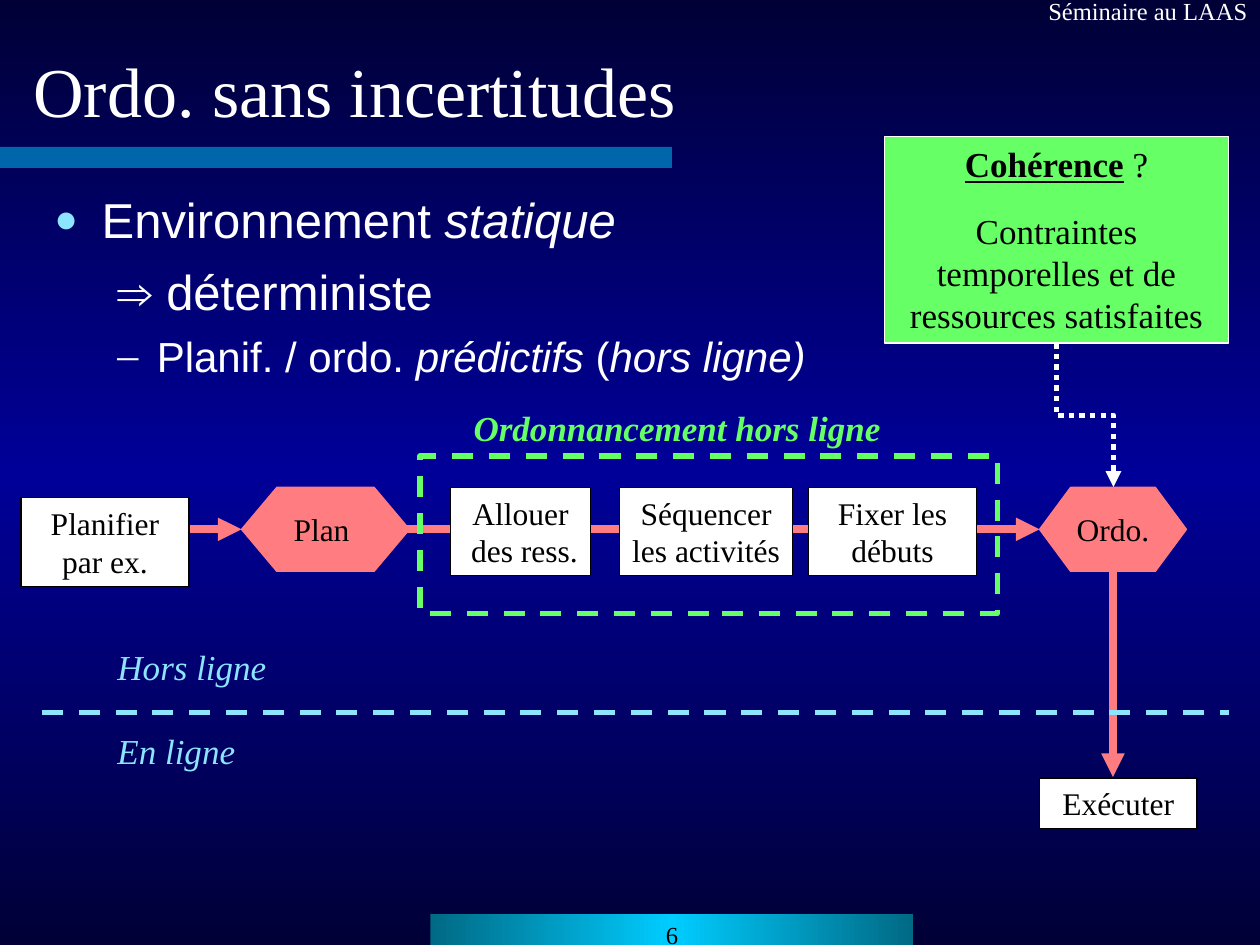
from copy import deepcopy

from lxml.etree import SubElement
from pptx import Presentation
from pptx.dml.color import RGBColor
from pptx.enum.dml import MSO_LINE as Dash
from pptx.enum.shapes import MSO_CONNECTOR as Connector, MSO_SHAPE as Shape
from pptx.enum.text import MSO_ANCHOR as Anchor, PP_ALIGN as Align
from pptx.oxml.ns import qn
from pptx.util import Pt

BLACK = RGBColor(0x00, 0x00, 0x00)
WHITE = RGBColor(0xFF, 0xFF, 0xFF)
NIGHT = RGBColor(0x00, 0x00, 0x37)
BLUE = RGBColor(0x00, 0x00, 0x99)
CYAN = RGBColor(0x00, 0xCC, 0xFF)
TEAL = RGBColor(0x00, 0x69, 0x84)
SKY = RGBColor(0x8D, 0xE4, 0xFF)
GREEN = RGBColor(0x66, 0xFF, 0x66)
CORAL = RGBColor(0xFF, 0x7C, 0x80)

SERIF = "Times New Roman"
BOLD = {"bold": True}
ITALIC = {"italic": True}


def write(box, paragraphs, size, colour, align=Align.LEFT, anchor=Anchor.TOP,
          wrap=True, name=SERIF):
    frame = box.text_frame
    frame.word_wrap = wrap
    frame.vertical_anchor = anchor
    for index, spans in enumerate(paragraphs):
        para = frame.add_paragraph() if index else frame.paragraphs[0]
        para.alignment = align
        for text, formats in spans:
            span = para.add_run()
            span.text = text
            span.font.color.rgb = colour
            for key, value in ({"name": name, "size": Pt(size)} | formats).items():
                setattr(span.font, key, value)
    return frame.paragraphs


def connect(kind, ends, colour, width, dash=None, arrow=True):
    link = page.shapes.add_connector(kind, *[Pt(value) for value in ends])
    link.line.color.rgb = colour
    link.line.width = Pt(width)
    if dash:
        link.line.dash_style = dash
    if arrow:
        SubElement(link.line._get_or_add_ln(), qn("a:tailEnd"), type="triangle")
    SubElement(link._element.spPr, qn("a:effectLst"))
    return link


deck = Presentation()
deck.slide_width, deck.slide_height = Pt(720), Pt(540)
page = deck.slides.add_slide(deck.slide_layouts[6])

bar = page.shapes.add_shape(Shape.RECTANGLE, Pt(0), Pt(84), Pt(384), Pt(12))
bar.fill.solid()
bar.fill.fore_color.rgb = CYAN
SubElement(next(bar._element.spPr.iter(qn("a:srgbClr"))), qn("a:alpha"), val="50000")
footer = page.shapes.add_shape(Shape.RECTANGLE, Pt(246), Pt(522), Pt(276), Pt(18))
for band in (bar, footer):
    band.shadow.inherit = False
    band.line.fill.background()
write(footer, [[("6", {})]], 14, BLACK, Align.CENTER)

for owner, fill, angle, edge, middle in (
    (page, page.background.fill, 90, NIGHT, BLUE),
    (footer, footer.fill, 0, TEAL, CYAN),
):
    fill.gradient()
    fill.gradient_angle = angle
    stops = next(owner._element.iter(qn("a:gsLst")))
    stops.append(deepcopy(stops[0]))
    for stop, position, colour in zip(fill.gradient_stops, (0, 0.5, 1), (edge, middle, edge)):
        stop.position = position
        stop.color.rgb = colour

for text, left, top, width, height, size, colour, anchor, formats in (
    ("Séminaire au LAAS", 592, -6, 128, 24, 14, WHITE, Anchor.TOP, {}),
    ("Ordo. sans incertitudes", 12, 18, 696, 66, 40, WHITE, Anchor.MIDDLE, {}),
    ("Hors ligne", 60, 365.5, 110, 32, 20, SKY, Anchor.TOP, ITALIC),
    ("En ligne", 60, 413.5, 110, 32, 20, SKY, Anchor.TOP, ITALIC),
    ("Ordonnancement hors ligne", 263.5, 228.5, 250, 32, 20, GREEN, Anchor.TOP, BOLD | ITALIC),
):
    label = page.shapes.add_textbox(Pt(left), Pt(top), Pt(width), Pt(height))
    write(label, [[(text, formats)]], size, colour, anchor=anchor)

for ends in ((636, 289, 636, 444), (228, 302.5, 594, 302.5), (108, 302.5, 138, 302.5)):
    connect(Connector.STRAIGHT, ends, CORAL, 4.5)
connect(Connector.STRAIGHT, (24, 407, 702, 407), SKY, 3, Dash.DASH, arrow=False)
elbow = connect(Connector.ELBOW, (661, 221, 579, 253.5), WHITE, 3, Dash.ROUND_DOT)
elbow._element.spPr.xfrm.set("rot", "16200000")

for lines, left, top, width, height in (
    (["Planifier", "par ex."], 12, 284.5, 96, 50.5),
    (["Allouer", " des ress."], 257.5, 278.5, 80, 50.5),
    (["Séquencer", "les activités"], 354, 278.5, 99, 50.5),
    (["Fixer les", "débuts"], 462, 278.5, 96, 50.5),
    (["Exécuter"], 594, 444.5, 90, 29),
    (["Plan "], 138, 278.5, 96, 48),
    (["Ordo."], 594, 278.5, 84, 48),
):
    state = height == 48
    step = page.shapes.add_shape(Shape.HEXAGON if state else Shape.RECTANGLE,
                                 Pt(left), Pt(top), Pt(width), Pt(height))
    if state:
        step.adjustments[0] = 0.42 if width == 96 else 0.37
    step.shadow.inherit = False
    step.fill.solid()
    step.fill.fore_color.rgb = CORAL if state else WHITE
    step.line.color.rgb = CORAL if state else BLACK
    step.line.width = Pt(0.75)
    write(step, [[(line, {})] for line in lines], 18, BLACK, Align.CENTER,
          Anchor.MIDDLE if state else Anchor.TOP, wrap=False)

check = page.shapes.add_shape(Shape.RECTANGLE, Pt(505.5), Pt(78), Pt(196.5), Pt(118))
check.shadow.inherit = False
check.fill.solid()
check.fill.fore_color.rgb = GREEN
check.line.color.rgb = WHITE
check.line.width = Pt(0.75)
paras = write(check, [
    [("Cohérence", BOLD | {"underline": True}), (" ?", {})],
    [("Contraintes temporelles et de ressources satisfaites", {})],
], 20, BLACK, Align.CENTER)
paras[1].space_before = Pt(14)

frame = page.shapes.add_shape(Shape.RECTANGLE, Pt(240), Pt(260.5), Pt(330), Pt(90))
frame.shadow.inherit = False
frame.fill.background()
frame.line.color.rgb = GREEN
frame.line.width = Pt(3)
frame.line.dash_style = Dash.DASH

body = page.shapes.add_textbox(Pt(24), Pt(105), Pt(450), Pt(123))
smaller = {"size": Pt(24)}
paras = write(body, [
    [("Environnement ", {}), ("statique", ITALIC)],
    [("⇒ déterministe", {})],
    [("Planif. / ordo. ", smaller), ("prédictifs", smaller | ITALIC),
     (" (", smaller), ("hors ligne)", smaller | ITALIC)],
], 28, WHITE, name="Arial")
for para, level, margin, indent, before, bullet, colour, scale in (
    (paras[0], 0, 27, -27, 0, "●", SKY, 80),
    (paras[1], 1, 58.5, -22.5, 7, None, None, None),
    (paras[2], 1, 58.5, -22.5, 6, "–", WHITE, 100),
):
    para.level = level
    para.space_before = Pt(before)
    properties = para._p.get_or_add_pPr()
    properties.set("marL", str(Pt(margin)))
    properties.set("indent", str(Pt(indent)))
    if bullet:
        tint = SubElement(properties, qn("a:buClr"))
        SubElement(tint, qn("a:srgbClr"), val=str(colour))
        SubElement(properties, qn("a:buSzPct"), val=str(scale * 1000))
        SubElement(properties, qn("a:buFont"), typeface=SERIF)
        SubElement(properties, qn("a:buChar"), char=bullet)
    else:
        SubElement(properties, qn("a:buNone"))

deck.save("out.pptx")
